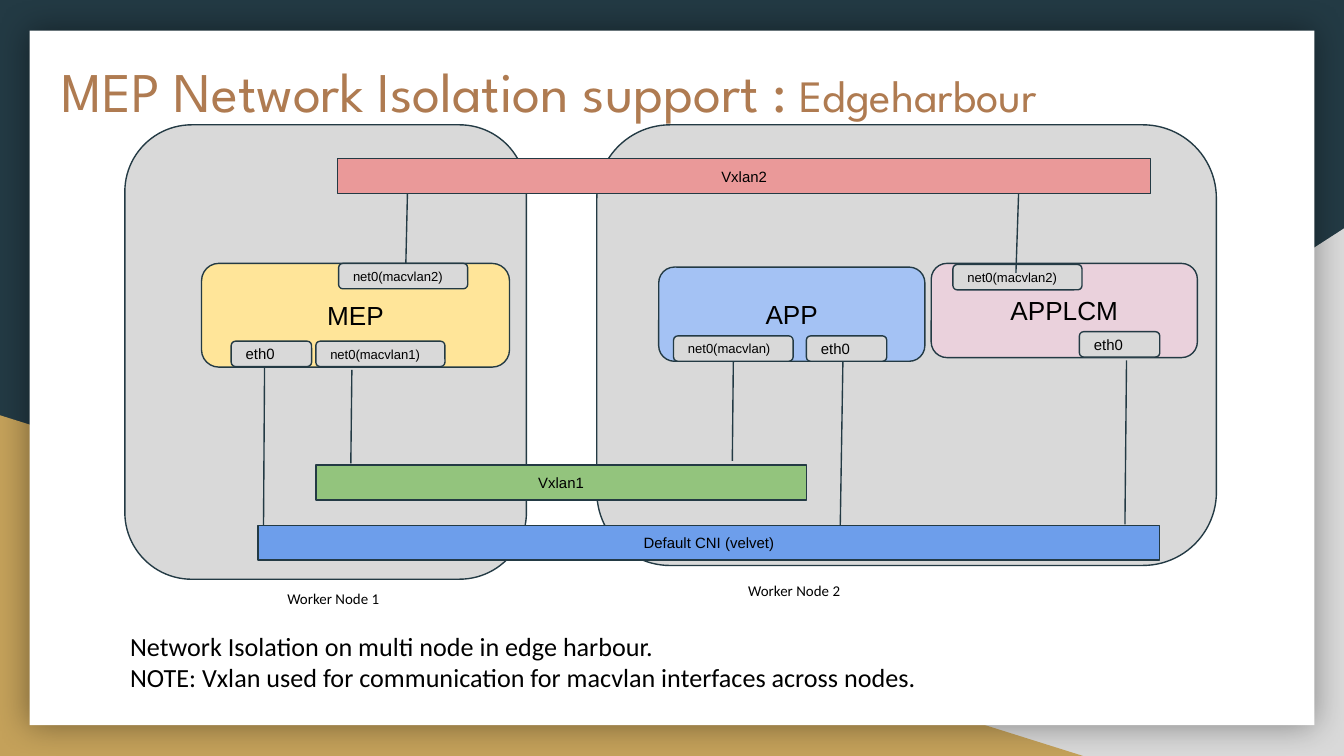
from typing import NamedTuple, Optional

from lxml import etree
from pptx import Presentation
from pptx import util as u
from pptx.dml.color import RGBColor
from pptx.enum import shapes, text
from pptx.oxml.ns import qn

COLORS = {
    "navy": "233A44", "gold": "C4A15A", "grey": "D9D9D9", "white": "FFFFFF",
    "black": "000000", "copper": "AF7B51", "yellow": "FFE599", "sky": "A4C2F4",
    "pink": "EAD1DC", "red": "EA9999", "green": "93C47D", "blue": "6D9EEB",
}
RECT = shapes.MSO_SHAPE.RECTANGLE
ROUND = shapes.MSO_SHAPE.ROUNDED_RECTANGLE
TRIANGLE = shapes.MSO_SHAPE.RIGHT_TRIANGLE
CENTER, LEFT = text.PP_ALIGN.CENTER, text.PP_ALIGN.LEFT
BAR_HEIGHT, PORT_HEIGHT, INSET = 0.66, 0.48, 0.25


class Block(NamedTuple):
    """A filled shape; lengths in centimetres."""
    left: float
    top: float
    width: float
    height: float
    fill: str
    kind: int = ROUND
    label: str = ""
    size: float = 14
    align: int = CENTER
    outlined: bool = True


class Run(NamedTuple):
    words: str
    size: float
    font: str = "Calibri"
    color: str = "black"


class Link(NamedTuple):
    x1: float
    y1: float
    x2: float
    y2: float
    port: Optional[int] = None  # port whose bottom side the link starts from


def bar(left: float, top: float, width: float, fill: str, label: str) -> Block:
    return Block(left, top, width, BAR_HEIGHT, fill, RECT, label, 8)


def port(left: float, top: float, width: float, label: str) -> Block:
    size = 8 if label == "eth0" else 7
    return Block(left, top, width, PORT_HEIGHT, "grey", ROUND, label, size, LEFT)


def rgb(name: str) -> RGBColor:
    return RGBColor.from_string(COLORS[name])


def write(frame, paragraphs: list[list[Run]], align: int, anchor: int) -> None:
    frame.word_wrap = True
    frame.vertical_anchor = anchor
    frame.margin_left = frame.margin_right = u.Cm(INSET)
    frame.margin_top = frame.margin_bottom = u.Cm(INSET)
    for i, runs in enumerate(paragraphs):
        paragraph = frame.add_paragraph() if i else frame.paragraphs[0]
        paragraph.alignment = align
        for item in runs:
            run = paragraph.add_run()
            run.text = item.words
            run.font.size = u.Pt(item.size)
            run.font.name = item.font
            run.font.color.rgb = rgb(item.color)


def draw_block(slide, block: Block):
    shape = slide.shapes.add_shape(block.kind, *map(u.Cm, block[:4]))
    shape.shadow.inherit = False
    shape.fill.solid()
    shape.fill.fore_color.rgb = rgb(block.fill)
    if block.outlined:
        shape.line.color.rgb = rgb("navy")
        shape.line.width = u.Pt(0.75)
    else:
        shape.line.fill.background()
    if block.label:
        write(shape.text_frame, [[Run(block.label, block.size, "Arial")]],
              block.align, text.MSO_ANCHOR.MIDDLE)
    return shape


def draw_text(slide, left: float, top: float, width: float, height: float,
              paragraphs: list[list[Run]], anchor: int = text.MSO_ANCHOR.TOP) -> None:
    box = slide.shapes.add_textbox(*map(u.Cm, (left, top, width, height)))
    write(box.text_frame, paragraphs, LEFT, anchor)


def draw_link(slide, link: Link, ports: list) -> None:
    line = slide.shapes.add_connector(
        shapes.MSO_CONNECTOR.STRAIGHT, *map(u.Cm, link[:4]))
    line.line.color.rgb = rgb("navy")
    line.line.width = u.Pt(0.75)
    etree.SubElement(line.element.spPr, qn("a:effectLst"))
    if link.port is not None:
        line.begin_connect(ports[link.port], 2)


def add_glow(shape) -> None:
    """Soft dark shadow on every side of the shape."""
    effects = shape.element.spPr.find(qn("a:effectLst"))
    shadow = etree.SubElement(effects, qn("a:outerShdw"),
                              blurRad=str(u.Pt(18)), dist="0", dir="0",
                              algn="ctr", rotWithShape="0")
    color = etree.SubElement(shadow, qn("a:srgbClr"), val=COLORS["black"])
    etree.SubElement(color, qn("a:alpha"), val="40000")


WORKER_NODES = [
    Block(2.36, 2.36, 7.59, 8.59, "grey"),
    Block(11.28, 2.36, 11.71, 8.33, "grey"),
]
PODS = [
    Block(3.81, 4.98, 5.82, 1.96, "yellow", label="MEP"),
    Block(12.45, 5.05, 5.03, 1.78, "sky", label="APP"),
    Block(17.6, 4.98, 5.03, 1.78, "pink", label="APPLCM"),
]
NETWORKS = [
    bar(6.38, 3, 15.37, "red", "Vxlan2"),
    bar(5.97, 8.79, 9.27, "green", "Vxlan1"),
    bar(4.88, 9.93, 17.04, "blue", "Default CNI (velvet)"),
]
PORTS = [
    port(4.37, 6.45, 1.52, "eth0"),
    port(5.97, 6.45, 2.44, "net0(macvlan1)"),
    port(6.4, 4.98, 2.44, "net0(macvlan2)"),
    port(12.73, 6.35, 2.26, "net0(macvlan)"),
    port(15.24, 6.35, 1.52, "eth0"),
    port(18.01, 5, 2.44, "net0(macvlan2)"),
    port(20.4, 6.27, 1.52, "eth0"),
]
LINKS = [
    Link(5, 6.93, 4.98, 9.93),
    Link(6.65, 6.99, 6.63, 8.76),
    Link(7.7, 3.66, 7.67, 4.98),
    Link(13.86, 6.83, 13.84, 8.71, port=3),
    Link(15.93, 6.83, 15.88, 9.93),
    Link(19.25, 3.66, 19.2, 5.16),
    Link(21.29, 6.81, 21.26, 9.91),
]


def main() -> None:
    prs = Presentation()
    prs.slide_width, prs.slide_height = u.Cm(25.4), u.Cm(14.29)
    slide = prs.slides.add_slide(prs.slide_layouts[6])

    # Backdrop: coloured corners behind a white panel
    slide.background.fill.solid()
    slide.background.fill.fore_color.rgb = rgb("navy")
    grey_corner = draw_block(
        slide, Block(9.96, 4.32, 15.44, 9.97, "grey", TRIANGLE, outlined=False))
    grey_corner.element.spPr.find(qn("a:xfrm")).set("flipH", "1")
    draw_block(slide, Block(0, 7.85, 20.47, 6.44, "gold", TRIANGLE, outlined=False))
    add_glow(draw_block(
        slide, Block(0.56, 0.58, 24.28, 13.13, "white", RECT, outlined=False)))

    # Worker nodes and title
    for node in WORKER_NODES:
        draw_block(slide, node)
    draw_text(slide, 0.91, 0.79, 23.77, 1.8, [[
        Run("MEP Network Isolation support :", 30, "League Spartan", "copper"),
        Run(" Edgeharbour", 24, "League Spartan", "copper"),
    ]], text.MSO_ANCHOR.BOTTOM)

    # Pods, networks, their ports and the links between them
    for block in PODS + NETWORKS:
        draw_block(slide, block)
    ports = [draw_block(slide, block) for block in PORTS]
    for link in LINKS:
        draw_link(slide, link, ports)

    # Captions and note
    for number, (left, top) in enumerate([(5.18, 10.97), (13.89, 10.82)], 1):
        draw_text(slide, left, top, 4.22, 0.86, [[Run(f"Worker Node {number}", 8)]])
    draw_text(slide, 2.21, 11.66, 20.78, 1.7, [
        [Run("Network Isolation on multi node in edge harbour.", 14)],
        [Run("NOTE: Vxlan used for communication for macvlan interfaces "
             "across nodes.", 14)],
    ])

    prs.save("out.pptx")


if __name__ == "__main__":
    main()
